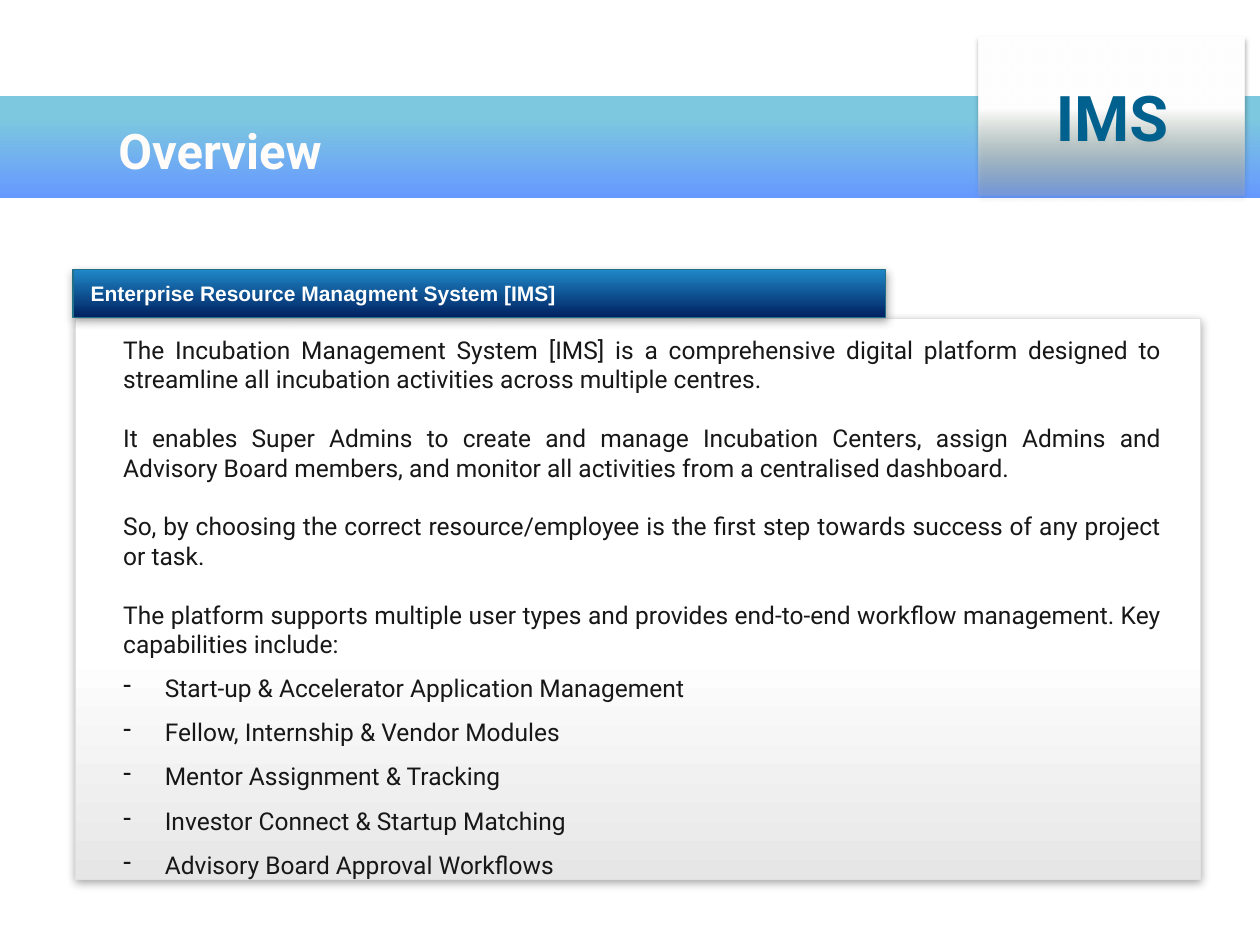
from dataclasses import dataclass
from typing import Optional

from pptx import Presentation
from pptx.dml.color import RGBColor
from pptx.enum.shapes import MSO_SHAPE
from pptx.enum.text import MSO_ANCHOR, MSO_AUTO_SIZE, PP_ALIGN
from pptx.oxml import parse_xml
from pptx.oxml.ns import nsdecls, qn
from pptx.util import Emu, Inches, Pt

RECT = MSO_SHAPE.RECTANGLE
MIDDLE = MSO_ANCHOR.MIDDLE
GROW, FIXED = MSO_AUTO_SIZE.SHAPE_TO_FIT_TEXT, MSO_AUTO_SIZE.NONE
LEFT, CENTER, JUSTIFY = PP_ALIGN.LEFT, PP_ALIGN.CENTER, PP_ALIGN.JUSTIFY

COLORS = {
    "aqua": "7DC8DF", "blue": "6699FF", "white": "FFFFFF", "sand": "D1C39F",
    "grey": "E6E6E6", "edge": "E1E1E1", "navy": "002060", "azure": "1F88C8",
    "teal": "227088", "title": "FFFCF9", "badge": "00618E", "text": "171717",
}
DOWN, UP = 270, 90
GAP = Pt(16.8)
HANG = Inches(0.33)

PROSE = [
    "The Incubation Management System [IMS] is a comprehensive digital platform "
    "designed to streamline all incubation activities across multiple centres.",
    "It enables Super Admins to create and manage Incubation Centers, assign Admins "
    "and Advisory Board members, and monitor all activities from a centralised dashboard.",
    "So, by choosing the correct resource/employee is the first step towards success "
    "of any project or task.",
    "The platform supports multiple user types and provides end-to-end workflow "
    "management. Key capabilities include:",
]
SKILLS = [
    "Start-up & Accelerator Application Management",
    "Fellow, Internship & Vendor Modules",
    "Mentor Assignment & Tracking",
    "Investor Connect & Startup Matching",
    "Advisory Board Approval Workflows",
]


@dataclass
class Panel:
    box: tuple
    stops: tuple  # (position, colour name) pairs
    angle: int
    line: Optional[str] = None
    blur: Optional[float] = None
    alpha: Optional[int] = None  # opacity of the last stop, percent


BAND = Panel((0, 0.76, 10, 0.81), ((0.21, "aqua"), (1, "blue")), DOWN)
BADGE = Panel((7.77, 0.29, 2.11, 1.26), ((0.45, "white"), (0.98, "sand")),
              DOWN, blur=3.1, alpha=21)
BODY = Panel((0.6, 2.53, 8.93, 4.45), ((0, "grey"), (0.41, "white")),
             UP, line="edge", blur=5)
HEAD = Panel((0.58, 2.14, 6.45, 0.38), ((0, "navy"), (1, "azure")),
             UP, line="teal", blur=5)


def color(name: str) -> RGBColor:
    return RGBColor.from_string(COLORS[name])


def apply(item, **values) -> None:
    for name, value in values.items():
        setattr(item, name, value)


def style(para, size: float, tint: str, face: str = "Roboto", bold: bool = False) -> None:
    apply(para.font, size=Pt(size), name=face, bold=bold)
    para.font.color.rgb = color(tint)


def add_shadow(shape, blur: float) -> None:
    effects = shape.element.spPr.find(qn("a:effectLst"))
    effects.append(parse_xml(
        f'<a:outerShdw {nsdecls("a")} blurRad="{Pt(blur)}" dist="{Pt(1.8)}" '
        'dir="5400000" algn="t" rotWithShape="0"><a:srgbClr val="000000">'
        '<a:alpha val="35000"/></a:srgbClr></a:outerShdw>'))


def add_panel(slide, panel: Panel):
    shape = slide.shapes.add_shape(RECT, *map(Inches, panel.box))
    shape.shadow.inherit = False
    shape.fill.gradient()
    shape.fill.gradient_angle = panel.angle
    for stop, (place, name) in zip(shape.fill.gradient_stops, panel.stops):
        stop.position = place
        stop.color.rgb = color(name)
    if panel.alpha:
        last = shape.element.spPr.findall(".//" + qn("a:srgbClr"))[-1]
        last.append(parse_xml(f'<a:alpha {nsdecls("a")} val="{panel.alpha * 1000}"/>'))
    if panel.line:
        shape.line.color.rgb = color(panel.line)
        shape.line.width = Pt(0.75)
    else:
        shape.line.fill.background()
    if panel.blur:
        add_shadow(shape, panel.blur)
    return shape


def add_box(slide, *box: float):
    frame = slide.shapes.add_textbox(*map(Inches, box)).text_frame
    apply(frame, word_wrap=True, auto_size=GROW)
    return frame


def add_dash(para) -> None:
    props = para._p.get_or_add_pPr()
    props.set("marL", str(HANG))
    props.set("indent", str(-HANG))
    props.append(parse_xml(f'<a:buChar {nsdecls("a")} char="-"/>'))


def fill_body(frame) -> None:
    for i, text in enumerate(PROSE + SKILLS):
        para = frame.add_paragraph() if i else frame.paragraphs[0]
        para.text = text
        para.alignment = JUSTIFY
        if i >= len(PROSE):
            para.line_spacing = 1.5
            add_dash(para)
        elif i:
            para.space_before = GAP
        style(para, 14, "text")


def set_title(slide) -> None:
    title = slide.shapes.title
    left, top, width, height = map(Inches, (0.94, 0.88, 6.56, 0.66))
    apply(title, left=left, top=top, width=width, height=height)
    frame = title.text_frame
    frame.text = "Overview"
    apply(frame, margin_left=Emu(0), margin_right=Emu(0), word_wrap=True,
          vertical_anchor=MIDDLE, auto_size=FIXED)
    para = frame.paragraphs[0]
    apply(para, alignment=LEFT, line_spacing=0.95)
    style(para, 28, "title", bold=True)


def main() -> None:
    deck = Presentation()
    apply(deck, slide_width=Inches(10), slide_height=Inches(7.5))
    slide = deck.slides.add_slide(deck.slide_layouts[5])
    set_title(slide)
    band = add_panel(slide, BAND)
    slide.shapes.title.element.addprevious(band.element)  # band lies behind the title

    badge = add_panel(slide, BADGE).text_frame
    badge.text = "IMS"
    badge.vertical_anchor = MIDDLE
    badge.paragraphs[0].alignment = CENTER
    style(badge.paragraphs[0], 36, "badge", bold=True)

    add_panel(slide, BODY)
    add_panel(slide, HEAD)
    fill_body(add_box(slide, 0.88, 2.61, 8.44, 4.7))
    head = add_box(slide, 0.62, 2.18, 6.22, 0.3)
    head.text = "Enterprise Resource Managment System [IMS]"
    style(head.paragraphs[0], 12, "white", face="Arial", bold=True)
    deck.save("out.pptx")


if __name__ == "__main__":
    main()
